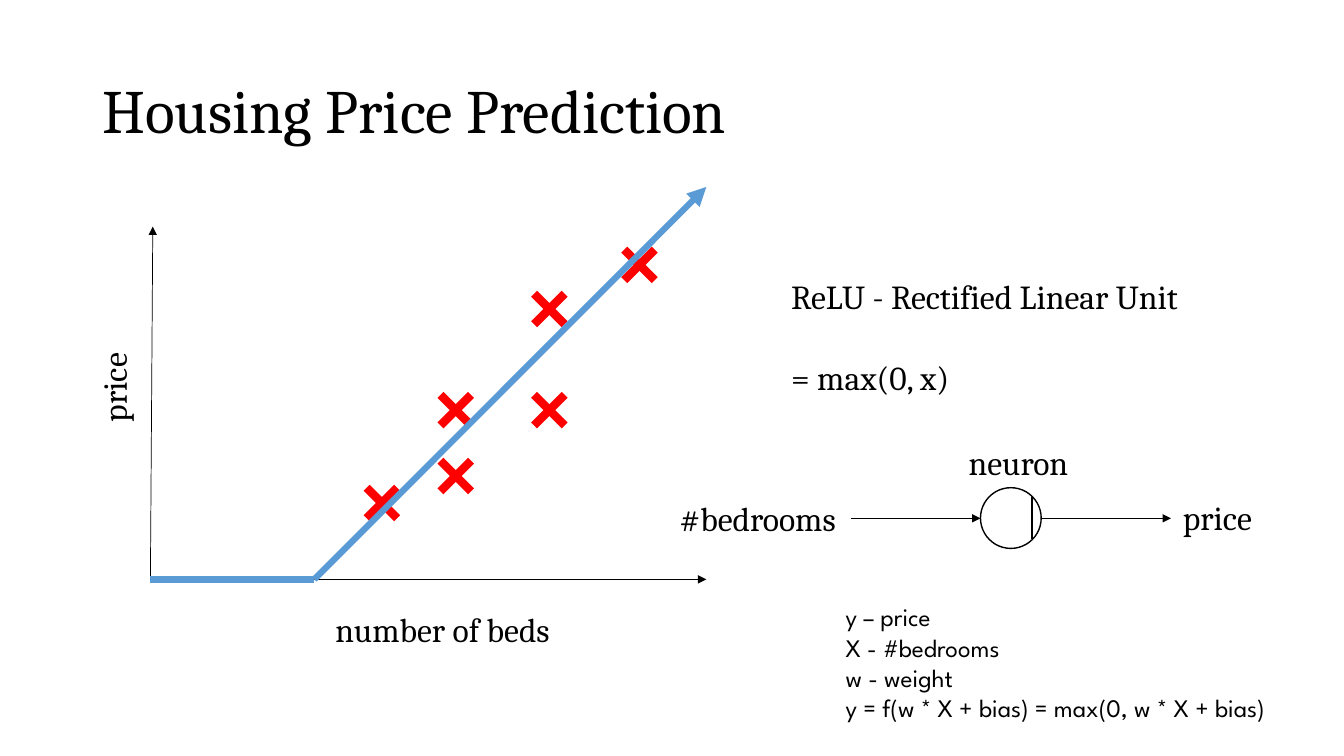
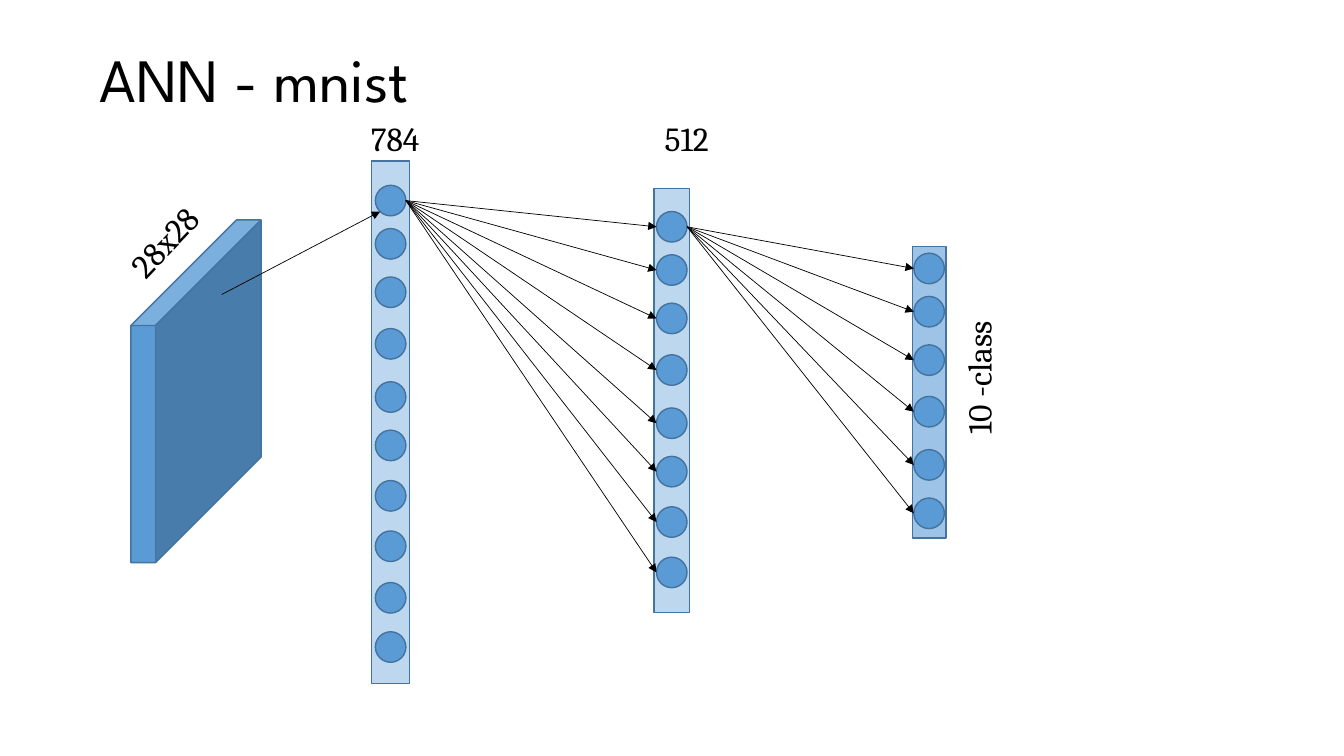
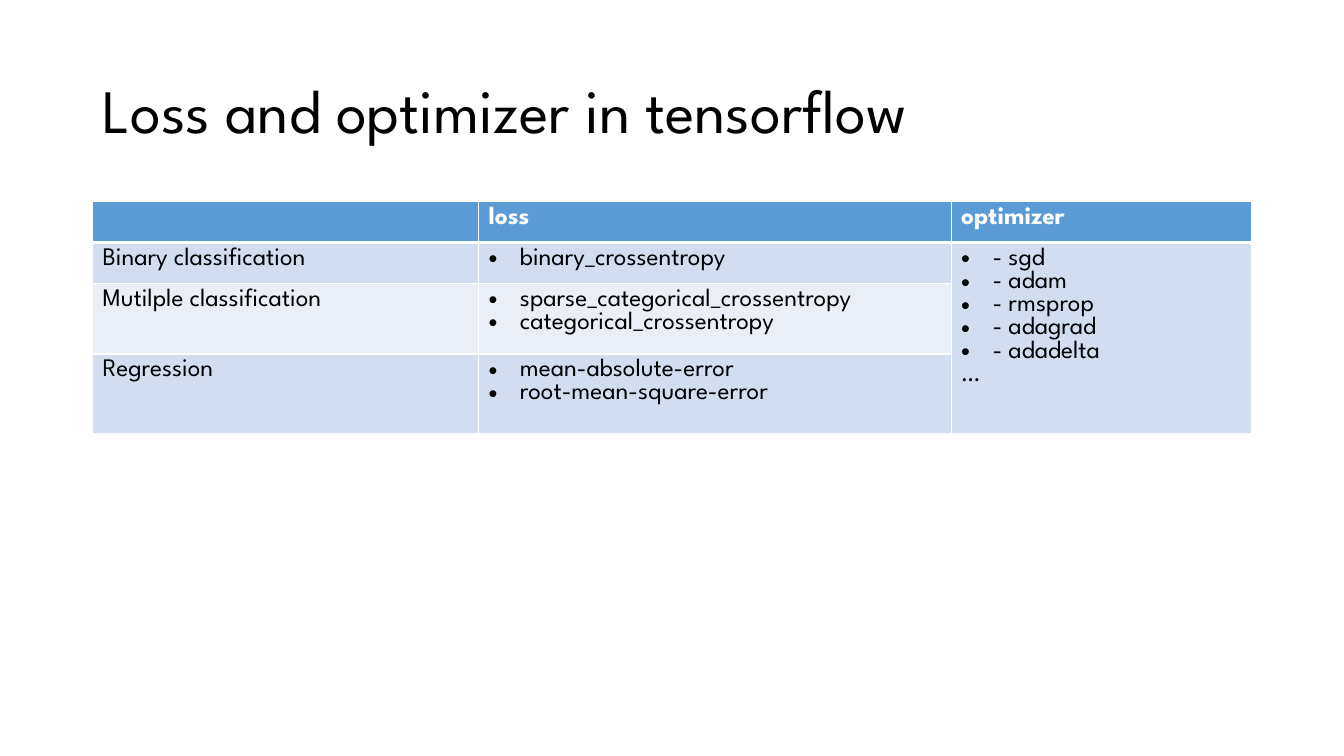
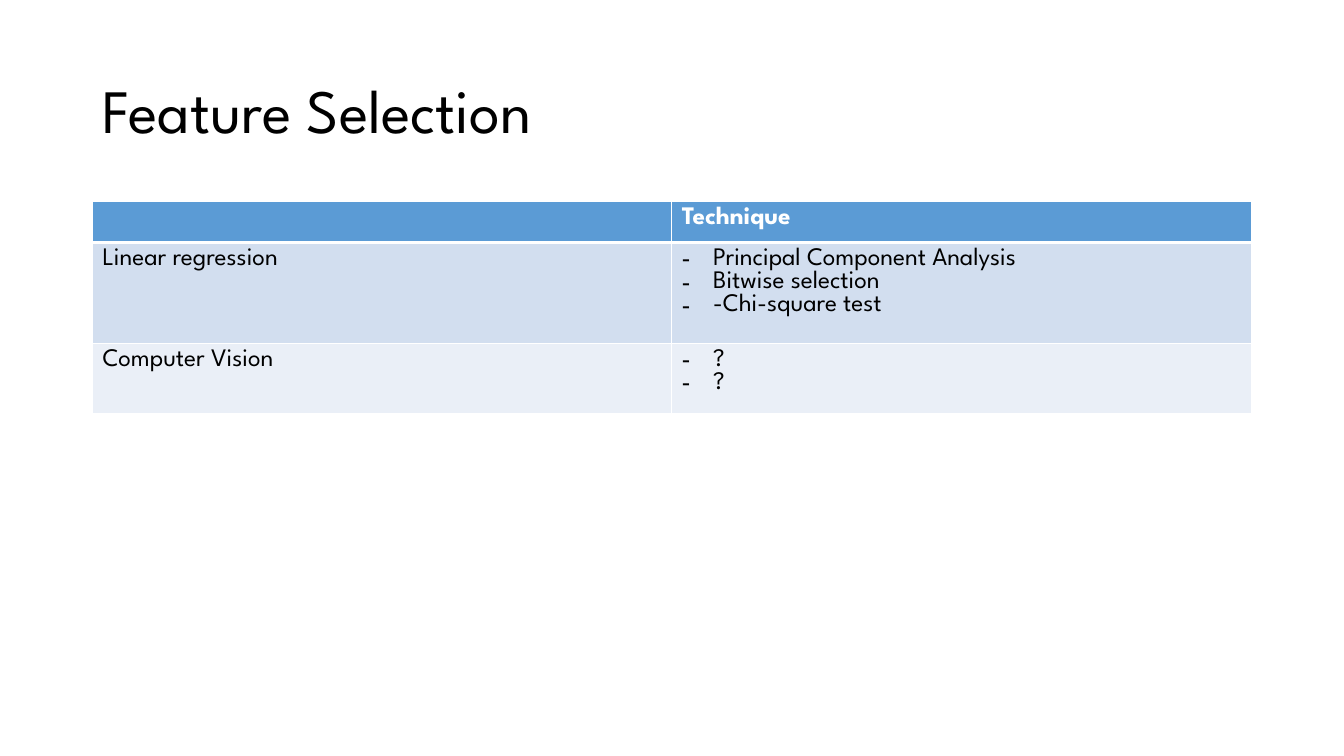
from lxml import etree
from pptx import Presentation
from pptx import util as u
from pptx.dml.color import RGBColor
from pptx.enum import shapes, text
from pptx.oxml import ns
from pptx.util import Cm

BLACK = RGBColor(0x00, 0x00, 0x00)
WHITE = RGBColor(0xFF, 0xFF, 0xFF)
RED = RGBColor(0xFF, 0x00, 0x00)
BLUE = RGBColor(0x5B, 0x9B, 0xD5)
BLUE_EDGE = RGBColor(0x43, 0x73, 0x9E)
BLUE_PALE = RGBColor(0xBD, 0xD7, 0xEE)
BLUE_SOFT = RGBColor(0x9D, 0xC3, 0xE6)
BANDS = [RGBColor(0xEA, 0xEF, 0xF7), RGBColor(0xD2, 0xDE, 0xEF)]
SERIF, SANS = "Cambria", "League Spartan"
LEFT, RIGHT = text.PP_ALIGN.LEFT, text.PP_ALIGN.RIGHT


def add_text(slide, box, lines, font=SERIF, size=24, align=LEFT, rotation=0):
    """Add a text box; box is left, top, width, height in cm."""
    shape = slide.shapes.add_textbox(*map(Cm, box))
    shape.rotation = rotation
    frame = shape.text_frame
    frame.word_wrap = True
    frame.text = "\n".join(lines)
    for paragraph in frame.paragraphs:
        paragraph.alignment = align
        paragraph.font.name = font
        paragraph.font.size = u.Pt(size)
        paragraph.font.color.rgb = BLACK
    return frame


def add_line(slide, start, end, color=BLACK, width=0.5, arrow=False):
    """Add a straight line between two points in cm, with an arrowhead at its end if asked."""
    line = slide.shapes.add_connector(shapes.MSO_CONNECTOR.STRAIGHT, *map(Cm, start + end))
    line.line.color.rgb = color
    line.line.width = u.Pt(width)
    if arrow:
        etree.SubElement(line.line._get_or_add_ln(), ns.qn("a:tailEnd"), type="triangle")
    etree.SubElement(line._element.spPr, ns.qn("a:effectLst"))


presentation = Presentation()
presentation.slide_width, presentation.slide_height = Cm(33.87), Cm(19.05)

# Titles
slides = []
for title, font, left, top in [
    ("Housing Price Prediction", SERIF, 2.33, 1.02),
    ("ANN - mnist", SANS, 2.26, 0.23),
    ("Loss and optimizer in tensorflow", SANS, 2.33, 1.02),
    ("Feature Selection", SANS, 2.33, 1.02),
]:
    slide = presentation.slides.add_slide(presentation.slide_layouts[6])
    frame = add_text(slide, (left, top, 29.21, 3.68), [title], font, 44)
    frame.vertical_anchor = text.MSO_ANCHOR.MIDDLE
    frame.paragraphs[0].line_spacing = 0.9
    slides.append(slide)
housing, network, losses, features = slides

# Housing prices: axes, data points and fitted line
origin, bend = (3.79, 14.6), (7.92, 14.6)
add_line(housing, origin, (3.85, 5.71), arrow=True)
add_line(housing, origin, (17.8, 14.6), arrow=True)
add_text(housing, (8.2, 15.21, 6.58, 1.27), ["number of beds"])
add_text(housing, (1.63, 9.02, 2.46, 1.27), ["price"], rotation=270)

cross = 0.77
for x, y in [(13.46, 7.4), (11.1, 9.95), (15.73, 6.29), (13.46, 9.95), (9.24, 12.29), (11.1, 11.61)]:
    add_line(housing, (x, y), (x + cross, y + cross), RED, 6)
    add_line(housing, (x, y + cross), (x + cross, y), RED, 6)
add_line(housing, origin, bend, BLUE, 4.5)
add_line(housing, bend, (17.8, 4.71), BLUE, 4.5, arrow=True)

# Housing prices: neuron and formulas
neuron = housing.shapes.add_shape(shapes.MSO_SHAPE.OVAL, Cm(24.71), Cm(12.29), Cm(1.53), Cm(1.53))
neuron.shadow.inherit = False
neuron.fill.background()
neuron.line.color.rgb = BLACK
neuron.line.width = u.Pt(1)
for start, end in [(21.44, 24.71), (26.24, 29.51)]:
    add_line(housing, (start, 13.06), (end, 13.06), arrow=True)
add_line(housing, (26.01, 12.52), (26.01, 13.59), width=1)
add_text(housing, (16.51, 12.42, 4.8, 1.27), ["#bedrooms"], align=RIGHT)
add_text(housing, (28.96, 12.4, 2.84, 1.27), ["price"], align=RIGHT)
add_text(housing, (23.77, 11, 3.4, 1.27), ["neuron"], align=RIGHT)
relu = add_text(housing, (19.69, 6.83, 12.7, 3.33), ["ReLU - Rectified Linear Unit", "= max(0, x)"])
relu.paragraphs[1].space_before = u.Pt(29)
legend = add_text(
    housing,
    (21.31, 15.16, 12.14, 3.07),
    ["y – price", "X - #bedrooms", "w - weight", "y = f(w * X + bias) = max(0, w * X + bias)"],
    SANS,
    18,
)
legend.margin_left = legend.margin_right = legend.margin_top = legend.margin_bottom = 0

# Network: input image and layers of nodes
cube = network.shapes.add_shape(shapes.MSO_SHAPE.CUBE, Cm(3.3), Cm(5.54), Cm(3.28), Cm(8.64))
cube.adjustments[0] = 0.812
blocks = [(cube, BLUE)]
node = 0.77
node_offsets = [0, 1.09, 2.31, 3.61, 4.95, 6.17, 7.44, 8.71, 10.01, 11.25]
source = None
for left, top, width, height, color, first_node, count in [
    (9.37, 4.06, 0.95, 13.16, BLUE_PALE, 4.67, 10),
    (16.48, 4.75, 0.9, 10.69, BLUE_PALE, 5.33, 8),
    (22.99, 6.22, 0.85, 7.34, BLUE_SOFT, 6.38, 6),
]:
    layer = network.shapes.add_shape(shapes.MSO_SHAPE.RECTANGLE, Cm(left), Cm(top), Cm(width), Cm(height))
    blocks.append((layer, color))
    node_left = left + (width - node) / 2
    for offset in node_offsets[:count]:
        node_top = first_node + offset
        circle = network.shapes.add_shape(
            shapes.MSO_SHAPE.OVAL, Cm(node_left), Cm(node_top), Cm(node), Cm(node)
        )
        blocks.append((circle, BLUE))
        if source:
            add_line(network, source, (node_left, node_top + node / 2), arrow=True)
    source = (node_left + node, first_node + node / 2)
add_line(network, (5.59, 7.42), (9.58, 5.33), arrow=True)

for shape, color in blocks:
    shape.shadow.inherit = False
    shape.fill.solid()
    shape.fill.fore_color.rgb = color
    shape.line.color.rgb = BLUE_EDGE
    shape.line.width = u.Pt(1)

for label, left, top, width, rotation in [
    ("28x28", 2.13, 5.77, 3.4, 313.5),
    ("784", 8.86, 2.84, 1.96, 0),
    ("512", 16.15, 2.84, 1.96, 0),
    ("10 -class", 22.61, 9.25, 4.09, 270),
]:
    add_text(network, (left, top, width, 1.27), [label], align=RIGHT, rotation=rotation)

# Tables: one list of rows each, one string per cell, one line per paragraph
loss_rows = [
    ["", "loss", "optimizer"],
    ["Binary classification", "binary_crossentropy", "- sgd\n- adam\n- rmsprop\n- adagrad\n- adadelta\n…"],
    ["Mutilple classification", "sparse_categorical_crossentropy\ncategorical_crossentropy", ""],
    ["Regression", "mean-absolute-error\nroot-mean-square-error", ""],
]
feature_rows = [
    ["", "Technique"],
    ["Linear regression", "Principal Component Analysis\nBitwise selection\n-Chi-square test"],
    ["Computer Vision", "?\n?"],
]
for slide, rows, widths, bullet in [
    (losses, loss_rows, [9.73, 11.91, 7.57], "•"),
    (features, feature_rows, [14.6, 14.6], "-"),
]:
    row_height = 1.03
    table = slide.shapes.add_table(
        len(rows), len(widths), Cm(2.33), Cm(5.08), Cm(sum(widths)), Cm(row_height * len(rows))
    ).table
    for column, width in zip(table.columns, widths):
        column.width = Cm(width)
    for i, row in enumerate(rows):
        table.rows[i].height = Cm(row_height)
        for j, content in enumerate(row):
            cell = table.cell(i, j)
            cell.text = content
            properties = cell._tc.get_or_add_tcPr()
            for side in "LRTB":
                thick = (i == 0 and side == "B") or (i == 1 and side == "T")
                border = etree.SubElement(
                    properties, ns.qn("a:ln" + side), w=str(u.Pt(3 if thick else 1))
                )
                fill = etree.SubElement(border, ns.qn("a:solidFill"))
                etree.SubElement(fill, ns.qn("a:srgbClr"), val=str(WHITE))
            cell.fill.solid()
            cell.fill.fore_color.rgb = BANDS[i % 2] if i else BLUE
            for paragraph in cell.text_frame.paragraphs:
                if i and j and paragraph.text not in ("", "…"):
                    bulleted = paragraph._p.get_or_add_pPr()
                    bulleted.set("marL", str(Cm(0.79)))
                    bulleted.set("indent", str(-Cm(0.79)))
                    etree.SubElement(bulleted, ns.qn("a:buFont"), typeface="Arial")
                    etree.SubElement(bulleted, ns.qn("a:buChar"), char=bullet)
                paragraph.font.name = SANS
                paragraph.font.size = u.Pt(18)
                paragraph.font.bold = i == 0
                paragraph.font.color.rgb = BLACK if i else WHITE
    if slide is losses:
        table.cell(1, 2).merge(table.cell(3, 2))

presentation.save("out.pptx")
